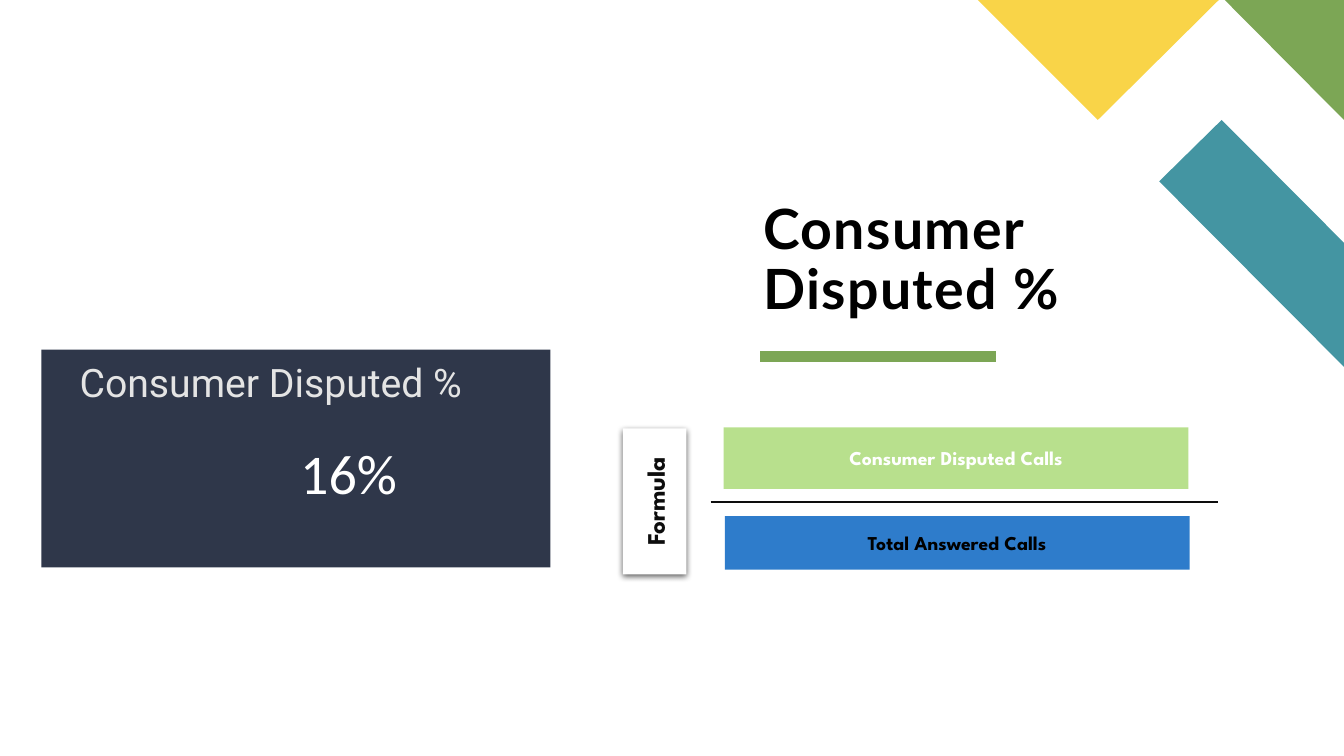
"""Build the Consumer Disputed % slide."""
from dataclasses import dataclass

from pptx import Presentation
from pptx.dml.color import RGBColor
from pptx.enum.shapes import MSO_CONNECTOR, MSO_SHAPE
from pptx.enum.text import MSO_ANCHOR, PP_ALIGN
from pptx.oxml import parse_xml
from pptx.oxml.ns import nsdecls, qn
from pptx.util import Inches, Pt
from lxml.etree import SubElement


@dataclass(frozen=True)
class Theme:
    white: str = "FFFFFF"
    black: str = "000000"
    ink: str = "0D0D0D"
    pale: str = "E4E4E4"
    navy: str = "2F374A"
    green: str = "7CA655"
    teal: str = "4495A2"
    yellow: str = "F9D448"
    lime: str = "92D050"
    blue: str = "0060C0"
    head: float = 39.6
    value: float = 40
    label: float = 28
    side: float = 18
    term: float = 14
    title_font: str = "Lato"
    value_font: str = "Calibri"
    label_font: str = "Roboto"
    bar_font: str = "League Spartan"


class Deck:
    def __init__(self, theme):
        self.theme = theme
        self.show = Presentation()
        self.show.slide_width = Inches(13.33)
        self.show.slide_height = Inches(7.5)
        self.slide = self.show.slides.add_slide(self.show.slide_layouts[6])
        self.shapes = self.slide.shapes

    def across(self, share):
        return round(self.show.slide_width * share / 100)

    def down(self, share):
        return round(self.show.slide_height * share / 100)

    def place(self, left, top, width, height):
        return self.across(left), self.down(top), self.across(width), self.down(height)

    def paint(self, shape, color, alpha=100):
        shape.shadow.inherit = False
        shape.fill.solid()
        shape.fill.fore_color.rgb = RGBColor.from_string(color)
        shape.line.fill.background()
        if alpha < 100:
            tint = shape._element.spPr.find(qn("a:solidFill"))[0]
            SubElement(tint, qn("a:alpha")).set("val", str(alpha * 1000))

    def letter(self, shape, text, font, size, color, bold=False, align=None,
               anchor=MSO_ANCHOR.TOP):
        frame = shape.text_frame
        frame.text = text
        frame.word_wrap = True
        frame.vertical_anchor = anchor
        line = frame.paragraphs[0]
        line.alignment = align
        run = line.runs[0]
        run.font.name = font
        run.font.size = Pt(size)
        run.font.bold = bold
        run.font.color.rgb = RGBColor.from_string(color)
        return frame

    def text(self, box, text, font, size, color):
        shape = self.shapes.add_textbox(*self.place(*box))
        return self.letter(shape, text, font, size, color)

    def title(self, box, text):
        theme = self.theme
        shape = self.shapes.add_textbox(*self.place(*box))
        frame = self.letter(shape, text, theme.title_font, theme.head, theme.black,
                            bold=True, anchor=MSO_ANCHOR.BOTTOM)
        frame.margin_left = frame.margin_right = 0
        frame.margin_top = frame.margin_bottom = 0
        line = frame.paragraphs[0]
        line.line_spacing = 0.9
        line.runs[0]._r.get_or_add_rPr().set("spc", "100")

    def panel(self, box, color, alpha=100):
        shape = self.shapes.add_shape(MSO_SHAPE.RECTANGLE, *self.place(*box))
        self.paint(shape, color, alpha)
        return shape

    def bar(self, box, fill, text, size, color, alpha=100):
        shape = self.panel(box, fill, alpha)
        self.letter(shape, text, self.theme.bar_font, size, color, bold=True,
                    align=PP_ALIGN.CENTER, anchor=MSO_ANCHOR.MIDDLE)
        return shape

    def tab(self, box, text):
        theme = self.theme
        shape = self.bar(box, theme.white, text, theme.side, theme.ink)
        shape.text_frame._txBody.bodyPr.set("vert", "vert270")
        effect = shape._element.spPr.find(qn("a:effectLst"))
        effect.append(parse_xml(
            f'<a:outerShdw {nsdecls("a")} blurRad="{Pt(4.5)}" dist="{Pt(1.5)}" '
            'dir="5400000" algn="ctr" rotWithShape="0">'
            f'<a:srgbClr val="{theme.black}"><a:alpha val="63000"/></a:srgbClr>'
            '</a:outerShdw>'))

    def rule(self, start, end, top, color, width):
        y = self.down(top)
        line = self.shapes.add_connector(
            MSO_CONNECTOR.STRAIGHT, self.across(start), y, self.across(end), y)
        line.line.color.rgb = RGBColor.from_string(color)
        line.line.width = Pt(width)
        SubElement(line._element.spPr, qn("a:effectLst"))

    def patch(self, color, *points):
        spots = [(self.across(x), self.down(y)) for x, y in points]
        pen = self.shapes.build_freeform(*spots[0])
        pen.add_line_segments(spots[1:], close=True)
        self.paint(pen.convert_to_shape(), color)

    def save(self):
        self.show.save("out.pptx")


def main():
    theme = Theme()
    deck = Deck(theme)
    name = "Consumer Disputed %"

    deck.rule(56.55, 74.1, 47.2, theme.green, 8)
    deck.patch(theme.teal, (100, 48.53), (100, 32.13), (90.9, 15.87), (86.25, 24))
    deck.patch(theme.green, (100, 15.87), (100, 0), (91.13, 0))
    deck.patch(theme.yellow, (72.75, 0), (81.68, 15.87), (90.68, 0))
    deck.title((56.78, 33.6, 28.8, 8.93), name)

    deck.tab((46.35, 56.67, 4.73, 19.33), "Formula")
    deck.rule(52.88, 90.6, 66.4, theme.ink, 2)
    deck.bar((53.93, 68.27, 34.58, 7.07), theme.blue, "Total Answered Calls",
             theme.term, theme.black, 82)
    deck.bar((53.85, 56.53, 34.58, 8.13), theme.lime, "Consumer Disputed Calls",
             theme.term, theme.white, 65)

    deck.panel((3.08, 46.27, 37.88, 28.8), theme.navy)
    deck.text((21.6, 57.33, 19.8, 12.53), "16%", theme.value_font, theme.value,
              theme.white)
    deck.text((5.18, 46.8, 32.85, 11.47), name, theme.label_font, theme.label,
              theme.pale)
    deck.save()


if __name__ == "__main__":
    main()
